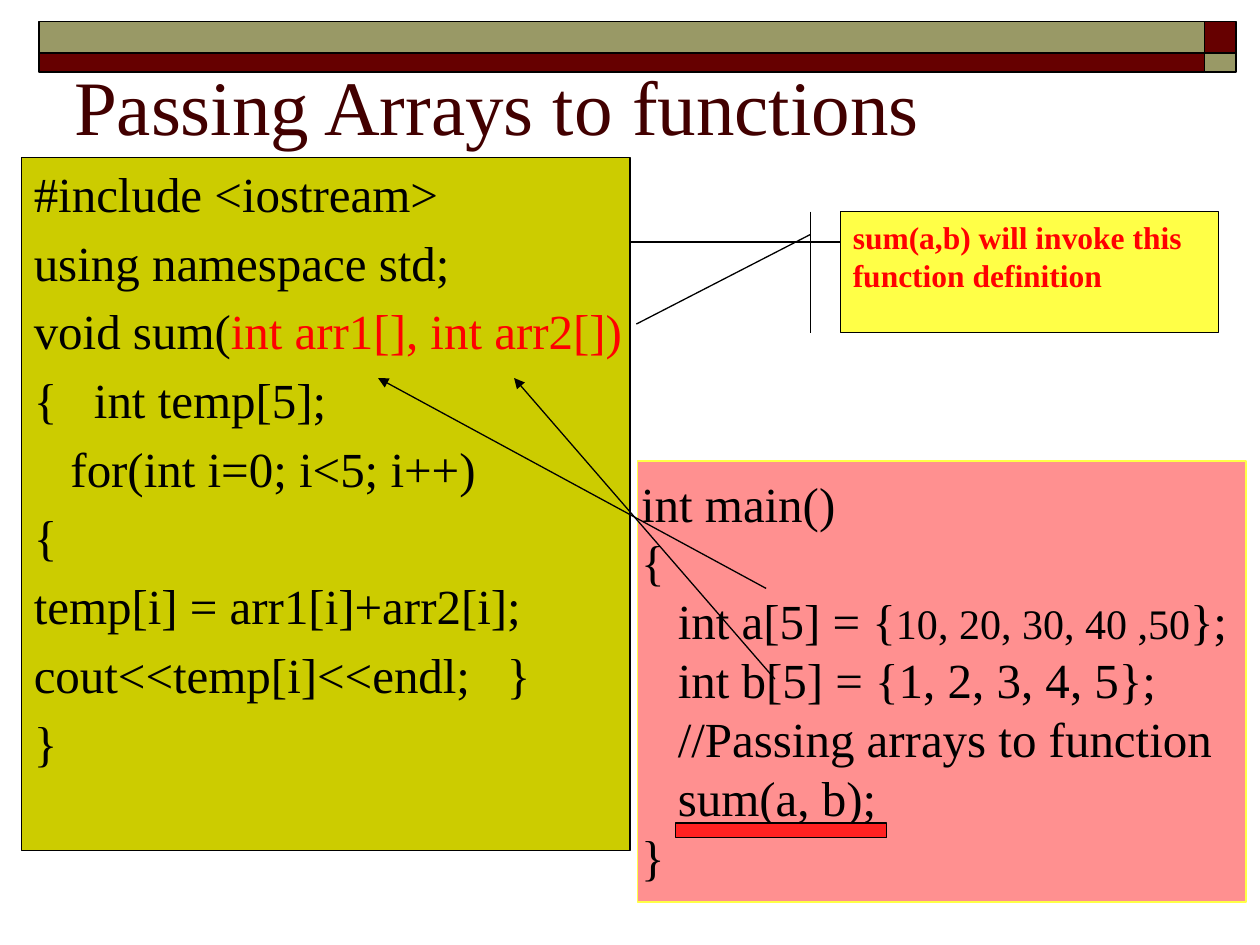
from lxml import etree
from pptx import Presentation
from pptx import util as u
from pptx.dml.color import RGBColor
from pptx.enum import shapes, text
from pptx.oxml.ns import qn

BLACK = RGBColor(0x00, 0x00, 0x00)
MAROON = RGBColor(0x66, 0x00, 0x00)
KHAKI = RGBColor(0x99, 0x99, 0x66)
PINK = RGBColor(0xFF, 0x90, 0x90)
YELLOW = RGBColor(0xFF, 0xFF, 0x47)
OLIVE = RGBColor(0xCC, 0xCC, 0x00)
TITLE = RGBColor(0x42, 0x00, 0x00)
RED = RGBColor(0xFF, 0x00, 0x00)
UNDERLINE = RGBColor(0xFF, 0x21, 0x21)

COLUMNS, ROWS = 40, 30
FONT = "Times New Roman"
RECT = shapes.MSO_SHAPE.RECTANGLE

FUNCTION_CODE = [
    "#include <iostream>",
    "using namespace std;",
    ["void sum(", ("int arr1[], int arr2[])", {"color": RED})],
    "{   int temp[5];",
    "   for(int i=0; i<5; i++)",
    "{",
    "temp[i] = arr1[i]+arr2[i];",
    "cout<<temp[i]<<endl;   }",
    "}",
]
MAIN_CODE = [
    "int main()",
    "{",
    ["   int a[5] = {", ("10, 20, 30, 40 ,50", {"size": 24}), "};"],
    "   int b[5] = {1, 2, 3, 4, 5};",
    "   //Passing arrays to function",
    "   sum(a, b);",
    "}",
]


def add_run(p, content, size=28, color=BLACK, bold=False):
    r = p.add_run()
    r.text = content
    r.font.name, r.font.size, r.font.bold = FONT, u.Pt(size), bold
    r.font.color.rgb = color


def fill_text(tf, lines, anchor=text.MSO_ANCHOR.TOP, gap=0, **style):
    """Write lines; a line is a string or a list of strings and (string, style) pairs."""
    tf.word_wrap = True
    tf.vertical_anchor = anchor
    for i, line in enumerate(lines):
        p = tf.add_paragraph() if i else tf.paragraphs[0]
        p.alignment = text.PP_ALIGN.LEFT
        p.space_before = u.Pt(gap if i else 0)
        for part in [line] if isinstance(line, str) else line:
            content, extra = (part, {}) if isinstance(part, str) else part
            add_run(p, content, **{**style, **extra})


class Board:
    """A slide measured in grid columns and rows."""

    def __init__(self, prs):
        self.s = prs.slides.add_slide(prs.slide_layouts[6])
        self.column = prs.slide_width / COLUMNS
        self.row = prs.slide_height / ROWS

    def place(self, *lengths):
        return [round(n * (self.row if i % 2 else self.column))
                for i, n in enumerate(lengths)]

    def shape(self, kind, box, fill, line=BLACK, width=0.75):
        sp = self.s.shapes.add_shape(kind, *self.place(*box))
        sp.shadow.inherit = False
        sp.fill.solid()
        sp.fill.fore_color.rgb = fill
        sp.line.color.rgb = line
        sp.line.width = u.Pt(width)
        return sp

    def textbox(self, box, lines, **style):
        sp = self.s.shapes.add_textbox(*self.place(*box))
        fill_text(sp.text_frame, lines, **style)

    def line(self, start, end, width=0.75, arrow=False):
        sp = self.s.shapes.add_connector(
            shapes.MSO_CONNECTOR.STRAIGHT, *self.place(*start, *end))
        sp.line.color.rgb = BLACK
        sp.line.width = u.Pt(width)
        if arrow:
            etree.SubElement(sp.line._get_or_add_ln(), qn("a:tailEnd"), type="triangle")
        etree.SubElement(sp._element.spPr, qn("a:effectLst"))

    def callout(self, box, adjustments, fill, lines, **style):
        sp = self.shape(shapes.MSO_SHAPE.LINE_CALLOUT_1_BORDER_AND_ACCENT_BAR, box, fill)
        for i, value in enumerate(adjustments):
            sp.adjustments[i] = value
        fill_text(sp.text_frame, lines, **style)

    def header_band(self, left, top, widths, heights):
        """Two rows of two bars whose colours alternate like a checkerboard."""
        for i, height in enumerate(heights):
            for j, width in enumerate(widths):
                box = (left + j * widths[0], top + i * heights[0], width, height)
                self.shape(RECT, box, MAROON if (i + j) % 2 else KHAKI, width=1)


def main():
    prs = Presentation()
    prs.slide_width, prs.slide_height = u.Inches(10), u.Inches(7.5)
    board = Board(prs)

    board.line((38.32, 7.68), (2, 7.68), width=1)
    board.header_band(1.24, 0.68, widths=(37, 1), heights=(1, 0.6))
    board.shape(RECT, (20.24, 14.64, 19.32, 14), PINK, line=YELLOW)
    board.shape(RECT, (0.68, 5, 19.32, 22), OLIVE)

    board.textbox((1.96, 1.68, 36, 3.32), ["Passing Arrays to functions"],
                  anchor=text.MSO_ANCHOR.BOTTOM, size=44, color=TITLE)
    board.textbox((0.68, 5, 20, 17.36), FUNCTION_CODE, gap=5.6)
    board.textbox((19.96, 14.82, 20, 13.4), MAIN_CODE)

    board.line((24.32, 18.68), (12, 12), arrow=True)
    board.line((24.6, 21.56), (16.32, 12), arrow=True)
    board.shape(shapes.MSO_SHAPE.MATH_MINUS, (20.24, 25.36, 9.12, 2), UNDERLINE)
    board.callout((26.68, 6.72, 12, 3.84), (0.19, -0.08, 0.93, -0.54), YELLOW,
                  ["sum(a,b) will invoke this function definition"],
                  size=18, color=RED, bold=True)

    prs.save("out.pptx")


if __name__ == "__main__":
    main()
